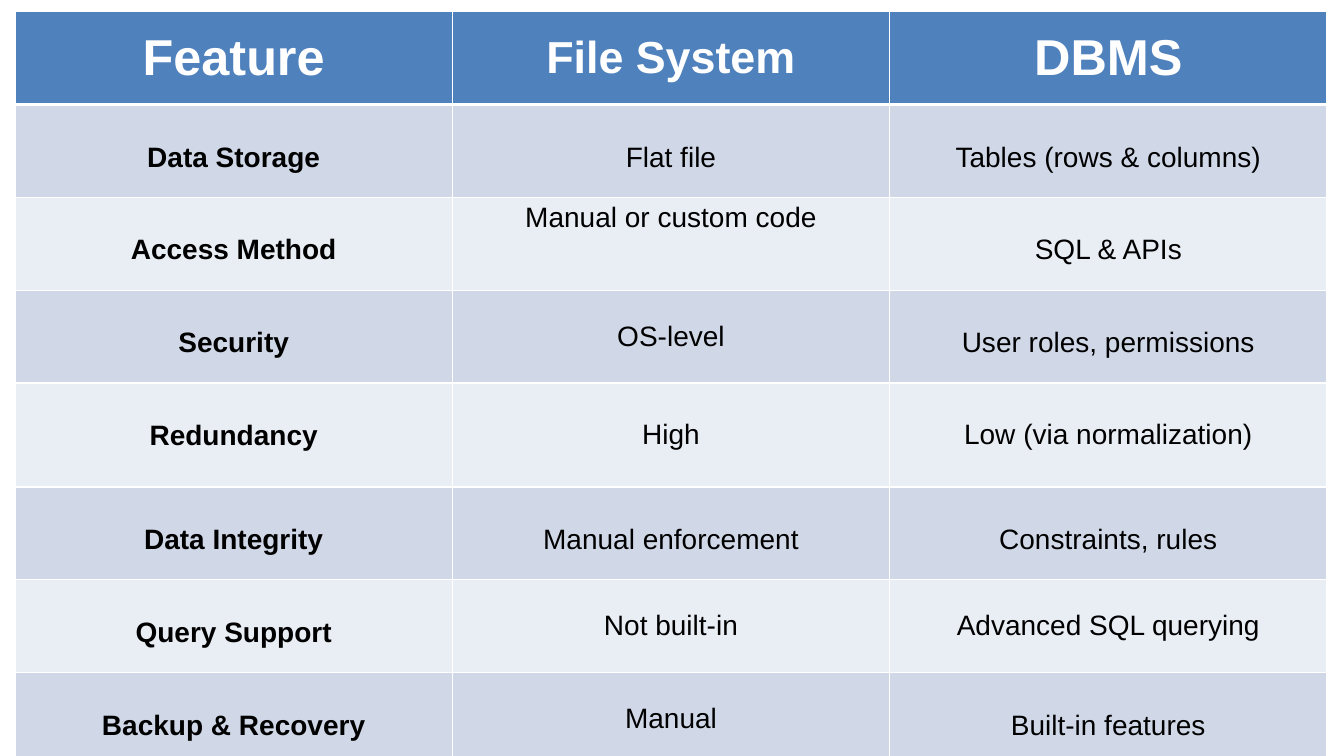
import pptx
import pptx.util
import pptx.dml.color
import pptx.enum.text
import pptx.oxml
import pptx.oxml.ns

Cm = pptx.util.Cm
Pt = pptx.util.Pt
Anchor = pptx.enum.text.MSO_ANCHOR

HEAD = "4F81BD"
BANDS = ["D0D8E8", "E9EDF4"]
WHITE = "FFFFFF"
BLACK = "000000"

HEADS = [("Feature", 36), ("File System", 32), ("DBMS", 36)]
# Each row has a label, two values and the places of the three texts:
# d = dropped by one line, m = middle, t = top
ROWS = [
    ("Data Storage", "Flat file", "Tables (rows & columns)", "ddd"),
    ("Access Method", "Manual or custom code", "SQL & APIs", "dtd"),
    ("Security", "OS-level", "User roles, permissions", "dmd"),
    ("Redundancy", "High", "Low (via normalization)", "dmm"),
    ("Data Integrity", "Manual enforcement", "Constraints, rules", "ddd"),
    ("Query Support", "Not built-in", "Advanced SQL querying", "dmm"),
    ("Backup & Recovery", "Manual", "Built-in features", "dmd"),
]
ROW_HIGH = 2.34
TALL_ROW = 4
TALL_HIGH = 2.62
DROP = 0.94


def color(code):
    return pptx.dml.color.RGBColor.from_string(code)


def write(cell, text, size=20, bold=False, ink=BLACK, place="m"):
    cell.vertical_anchor = Anchor.MIDDLE if place == "m" else Anchor.TOP
    if place == "d":
        cell.margin_top = Cm(DROP)
    para = cell.text_frame.paragraphs[0]
    para.alignment = pptx.enum.text.PP_ALIGN.CENTER
    run = para.add_run()
    run.text = text
    run.font.name = "Arial"
    run.font.size = Pt(size)
    run.font.bold = bold
    run.font.color.rgb = color(ink)


def paint(cell, fill, top=1, base=1):
    """Fill a cell and rule its four sides in white; widths are in points."""
    cell.fill.solid()
    cell.fill.fore_color.rgb = color(fill)
    props = cell._tc.get_or_add_tcPr()
    sides = [("L", 1), ("R", 1), ("T", top), ("B", base)]
    for spot, (side, width) in enumerate(sides):
        line = pptx.oxml.parse_xml(
            f'<a:ln{side} {pptx.oxml.ns.nsdecls("a")} w="{Pt(width)}">'
            f'<a:solidFill><a:srgbClr val="{WHITE}"/></a:solidFill>'
            f'</a:ln{side}>')
        props.insert(spot, line)


def draw_table(slide, left, top, width):
    count = len(ROWS) + 1
    high = ROW_HIGH * (count - 1) + TALL_HIGH
    frame = slide.shapes.add_table(
        count, len(HEADS), Cm(left), Cm(top), Cm(width), Cm(high))
    table = frame.table
    for col in table.columns:
        col.width = Cm(width / len(HEADS))
    for num, row in enumerate(table.rows):
        row.height = Cm(TALL_HIGH if num == TALL_ROW else ROW_HIGH)

    for col, (text, size) in enumerate(HEADS):
        cell = table.cell(0, col)
        paint(cell, HEAD, base=3)
        write(cell, text, size=size, bold=True, ink=WHITE)

    for num, (*texts, places) in enumerate(ROWS, start=1):
        for col, (text, place) in enumerate(zip(texts, places)):
            cell = table.cell(num, col)
            paint(cell, BANDS[(num - 1) % 2], top=3 if num == 1 else 1)
            write(cell, text, bold=col == 0, place=place)


def main():
    deck = pptx.Presentation()
    deck.slide_width = Cm(33.87)
    deck.slide_height = Cm(19.05)
    slide = deck.slides.add_slide(deck.slide_layouts[6])
    draw_table(slide, left=0.38, top=0.29, width=33.06)
    deck.save("out.pptx")


if __name__ == "__main__":
    main()
